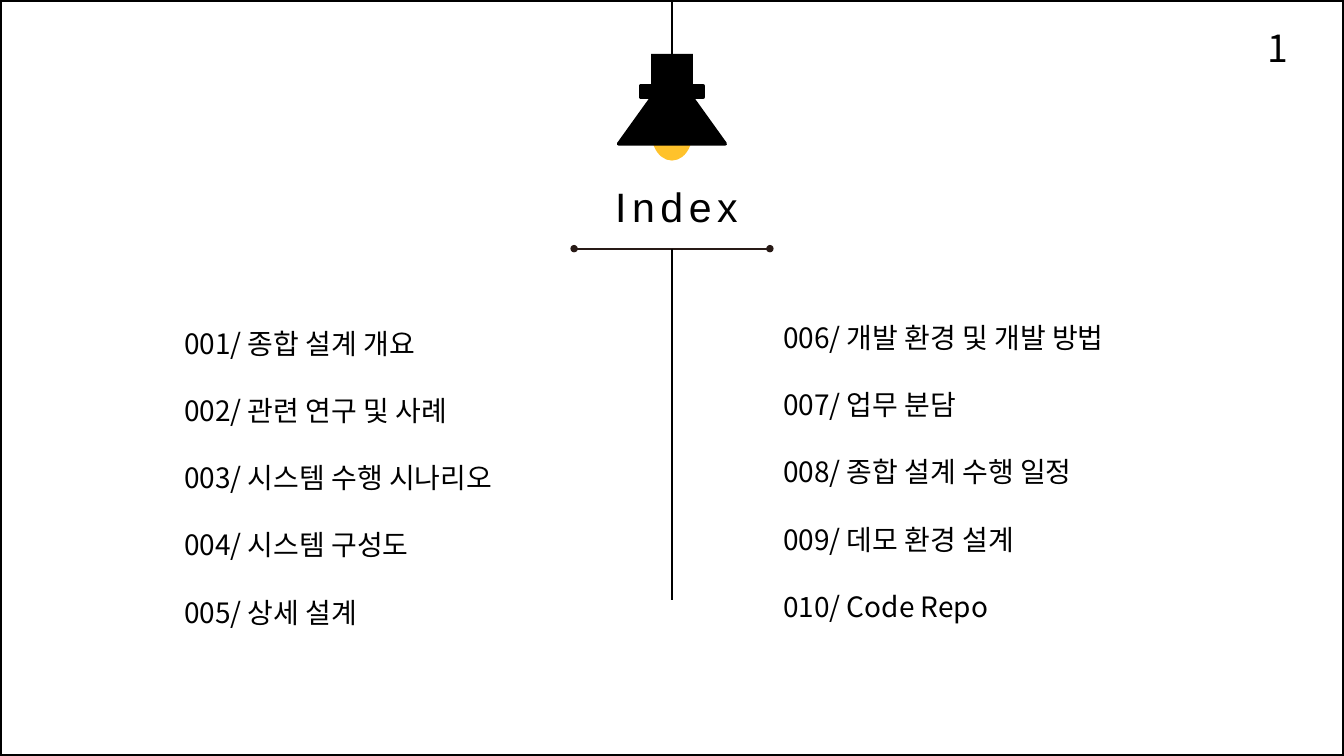
from pptx import Presentation
from pptx.dml.color import RGBColor
from pptx.enum.shapes import MSO_CONNECTOR, MSO_SHAPE
from pptx.enum.text import MSO_ANCHOR, MSO_AUTO_SIZE, PP_ALIGN
from pptx.oxml.ns import qn
from pptx.util import Cm, Pt
from lxml.etree import SubElement

COLORS = {"ink": "000000", "bulb": "FFC22B", "rule": "281A16"}
BODY_FONT = "Noto Sans CJK KR"
WIDTH, HEIGHT = 25.4, 14.29
AXIS = WIDTH / 2
RULE_Y, RULE_HALF = 4.7, 1.85

LEFT_TOPICS = [
    "001/ 종합 설계 개요",
    "002/ 관련 연구 및 사례",
    "003/ 시스템 수행 시나리오",
    "004/ 시스템 구성도",
    "005/ 상세 설계",
]
RIGHT_TOPICS = [
    "006/ 개발 환경 및 개발 방법",
    "007/ 업무 분담",
    "008/ 종합 설계 수행 일정",
    "009/ 데모 환경 설계",
    "010/ Code Repo",
]


def rgb(name):
    return RGBColor.from_string(COLORS[name])


def add_line(slide, start, end, color="ink", width=1, ends=None):
    line = slide.shapes.add_connector(MSO_CONNECTOR.STRAIGHT, *map(Cm, start + end))
    line.line.color.rgb = rgb(color)
    line.line.width = Pt(width)
    if ends:
        outline = line.line._get_or_add_ln()
        for tag in ("a:headEnd", "a:tailEnd"):
            SubElement(outline, qn(tag), type=ends, w="sm", len="sm")
    SubElement(line._element.spPr, qn("a:effectLst"))


def add_centred_shape(slide, preset, top, width, height, fill=None, outline=None):
    shape = slide.shapes.add_shape(
        preset, Cm(AXIS - width / 2), Cm(top), Cm(width), Cm(height))
    shape.shadow.inherit = False
    if fill:
        shape.fill.solid()
        shape.fill.fore_color.rgb = rgb(fill)
    else:
        shape.fill.background()
    if outline:
        shape.line.color.rgb = rgb(outline)
        shape.line.width = Pt(2)
        SubElement(shape.line._get_or_add_ln(), qn("a:round"))
    else:
        shape.line.fill.background()


def write_text(holder, lines, size, font=BODY_FONT, align=PP_ALIGN.LEFT,
               anchor=MSO_ANCHOR.TOP, line_spacing=1.0, tracking=0, wrap=True):
    frame = holder.text_frame
    frame.word_wrap = wrap
    frame.auto_size = MSO_AUTO_SIZE.SHAPE_TO_FIT_TEXT
    frame.vertical_anchor = anchor
    frame.text = "\n".join(lines)
    for paragraph in frame.paragraphs:
        paragraph.alignment = align
        paragraph.line_spacing = line_spacing
        for run in paragraph.runs:
            run.font.size = Pt(size)
            run.font.name = font
            run.font.color.rgb = rgb("ink")
            properties = run.font._element
            SubElement(properties, qn("a:ea"), typeface=font)
            if tracking:
                properties.set("spc", str(tracking * 100))


def add_text(slide, left, top, width, height, lines, size, **text_format):
    box = slide.shapes.add_textbox(Cm(left), Cm(top), Cm(width), Cm(height))
    write_text(box, lines, size, **text_format)


def add_lamp(slide):
    add_centred_shape(slide, MSO_SHAPE.OVAL, 2.01, 0.71, 0.99, "bulb", "bulb")
    add_line(slide, (AXIS, 0), (AXIS, 1.22), width=1.5)
    add_centred_shape(slide, MSO_SHAPE.RECTANGLE, 1.02, 0.79, 0.79, "ink")
    add_centred_shape(slide, MSO_SHAPE.RECTANGLE, 1.63, 1.19, 0.2, "ink", "ink")
    add_centred_shape(slide, MSO_SHAPE.ISOSCELES_TRIANGLE, 1.32, 2.01, 1.4, "ink", "ink")


def add_title(slide, text):
    title = slide.shapes.title
    title.left, title.top, title.width, title.height = map(Cm, (11.3, 3.3, 2.97, 1.19))
    write_text(title, [text], 22, font="Arial", align=PP_ALIGN.CENTER,
               tracking=3, wrap=False)


def add_topics(slide, left, top, topics):
    add_text(slide, left, top, 8.08, 6.48, topics, 15,
             anchor=MSO_ANCHOR.MIDDLE, line_spacing=2.0)


def main():
    deck = Presentation()
    deck.slide_width, deck.slide_height = Cm(WIDTH), Cm(HEIGHT)
    slide = deck.slides.add_slide(deck.slide_layouts[5])

    add_lamp(slide)
    add_centred_shape(slide, MSO_SHAPE.RECTANGLE, 0, WIDTH, HEIGHT, outline="ink")
    add_title(slide, "Index")
    add_topics(slide, 3.23, 5.47, LEFT_TOPICS)
    add_line(slide, (AXIS - RULE_HALF, RULE_Y), (AXIS + RULE_HALF, RULE_Y),
             color="rule", ends="oval")
    add_topics(slide, AXIS + RULE_HALF, 5.36, RIGHT_TOPICS)
    add_line(slide, (AXIS, RULE_Y), (AXIS, 11.35))
    add_text(slide, 23.7, 0.36, 1.78, 1.12, ["1"], 20)

    deck.save("out.pptx")


if __name__ == "__main__":
    main()
